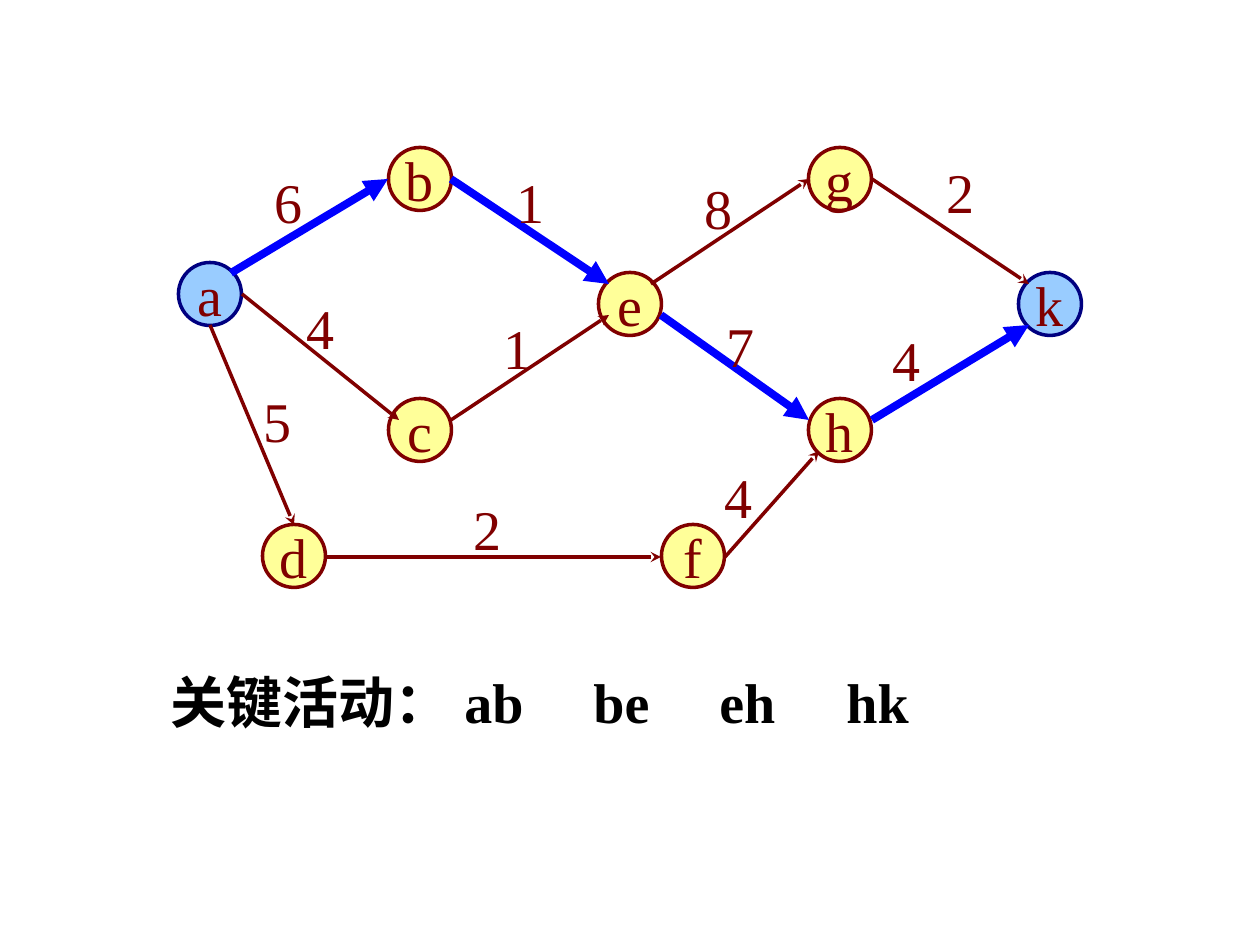
from dataclasses import dataclass

from lxml import etree
from pptx import Presentation
from pptx.dml.color import RGBColor
from pptx.enum.shapes import MSO_CONNECTOR, MSO_SHAPE
from pptx.enum.text import MSO_ANCHOR, PP_ALIGN
from pptx.oxml.ns import qn
from pptx.util import Emu, Pt

OVAL = MSO_SHAPE.OVAL
STRAIGHT = MSO_CONNECTOR.STRAIGHT
MIDDLE = MSO_ANCHOR.MIDDLE
CENTER = PP_ALIGN.CENTER


@dataclass(frozen=True)
class Theme:
    font: str = "Times New Roman"
    size: int = 32
    ink: str = "800000"
    summary: str = "000000"
    node: str = "FFFF99"
    terminal: str = "99CCFF"
    terminal_line: str = "000080"
    critical: str = "0000FF"
    thin: float = 2
    thick: float = 4.5


THEME = Theme()
PX_PER_INCH = 126
PAGE_SIZE = (1260, 945)
DIAMETER = 63
LABEL_SIZE = (53, 81)
TERMINALS = "ak"
CRITICAL = ("ab", "be", "eh", "hk")

NODE_CENTERS = {
    "a": (210, 294), "b": (420, 179), "c": (420, 430),
    "d": (294, 556), "e": (630, 304), "f": (693, 556),
    "g": (840, 179), "h": (840, 430), "k": (1050, 304),
}

# name, start, end, weight, label corner
ACTIVITIES = [
    ("ab", (231, 273), (388, 179), "6", (262, 161)),
    ("ac", (242, 294), (399, 420), "4", (294, 287)),
    ("ce", (451, 420), (609, 315), "1", (491, 307)),
    ("be", (451, 179), (609, 284), "1", (504, 161)),
    ("eg", (651, 284), (809, 179), "8", (692, 167)),
    ("gk", (872, 179), (1029, 284), "2", (934, 151)),
    ("hk", (872, 420), (1029, 325), "4", (880, 319)),
    ("eh", (661, 315), (809, 420), "7", (714, 305)),
    ("ad", (210, 325), (294, 525), "5", (251, 380)),
    ("df", (325, 557), (661, 557), "2", (461, 488)),
    ("fh", (725, 557), (819, 451), "4", (712, 456)),
]

SUMMARY = "关键活动："
SUMMARY_BOX = (158, 661, 976, 81)
SUMMARY_TABS = (294, 423, 549, 676)


def px(*lengths):
    return [Emu(round(length * 914400 / PX_PER_INCH)) for length in lengths]


def color(value):
    return RGBColor.from_string(value)


def add_span(para, text, ink=THEME.ink, bold=False):
    span = para.add_run()
    span.text = text
    span.font.name = THEME.font
    span.font.size = Pt(THEME.size)
    span.font.bold = bold
    span.font.color.rgb = color(ink)


def add_node(page, name, center):
    corner = [value - DIAMETER / 2 for value in center]
    circle = page.shapes.add_shape(OVAL, *px(*corner, DIAMETER, DIAMETER))
    circle.shadow.inherit = False
    is_terminal = name in TERMINALS
    circle.fill.solid()
    circle.fill.fore_color.rgb = color(THEME.terminal if is_terminal else THEME.node)
    circle.line.color.rgb = color(THEME.terminal_line if is_terminal else THEME.ink)
    circle.line.width = Pt(THEME.thin)
    frame = circle.text_frame
    frame.word_wrap = False
    frame.vertical_anchor = MIDDLE
    para = frame.paragraphs[0]
    para.alignment = CENTER
    add_span(para, name)


def add_arrow(page, name, start, end):
    is_critical = name in CRITICAL
    arrow = page.shapes.add_connector(STRAIGHT, *px(*start, *end))
    arrow.line.color.rgb = color(THEME.critical if is_critical else THEME.ink)
    arrow.line.width = Pt(THEME.thick if is_critical else THEME.thin)
    head = "triangle" if is_critical else "stealth"
    properties = arrow.line._get_or_add_ln()
    etree.SubElement(properties, qn("a:tailEnd"), type=head)
    etree.SubElement(arrow._element.spPr, qn("a:effectLst"))


def add_text_box(page, bounds, wrap):
    box = page.shapes.add_textbox(*px(*bounds))
    box.text_frame.word_wrap = wrap
    return box.text_frame.paragraphs[0]


def add_summary(page):
    para = add_text_box(page, SUMMARY_BOX, True)
    stops = etree.SubElement(para._p.get_or_add_pPr(), qn("a:tabLst"))
    for position in px(*SUMMARY_TABS):
        etree.SubElement(stops, qn("a:tab"), pos=str(position), algn="l")
    add_span(para, SUMMARY, THEME.summary, True)
    for name in CRITICAL:
        add_span(para, "\t" + name, THEME.summary, True)


def main():
    deck = Presentation()
    deck.slide_width, deck.slide_height = px(*PAGE_SIZE)
    page = deck.slides.add_slide(deck.slide_layouts[6])
    for name, center in NODE_CENTERS.items():
        add_node(page, name, center)
    for name, start, end, _, _ in ACTIVITIES:
        add_arrow(page, name, start, end)
    for _, _, _, weight, corner in ACTIVITIES:
        add_span(add_text_box(page, (*corner, *LABEL_SIZE), False), weight)
    add_summary(page)
    deck.save("out.pptx")


if __name__ == "__main__":
    main()
